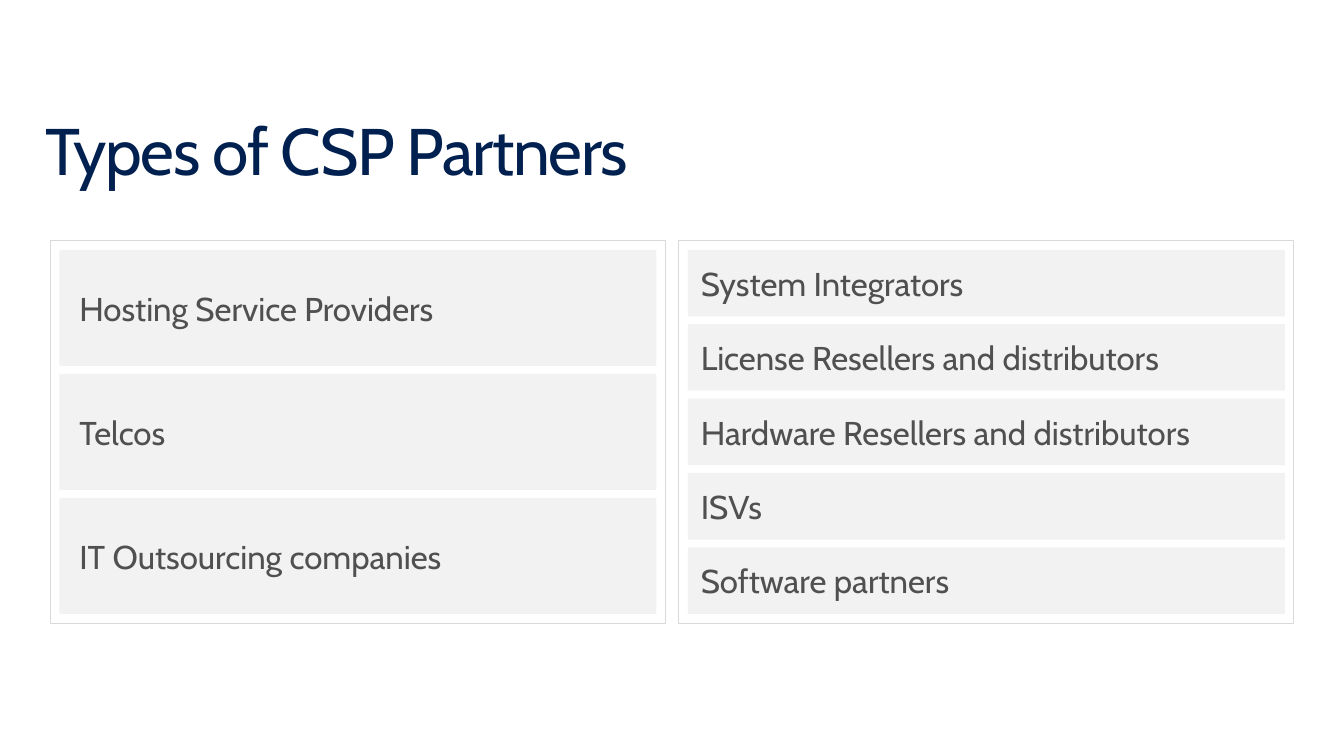
from pptx import Presentation
from pptx.dml.color import RGBColor
from pptx.enum.shapes import MSO_SHAPE as Shape
from pptx.enum.text import MSO_ANCHOR as Anchor, PP_ALIGN as Align
from pptx.util import Cm, Pt

NAVY = RGBColor(0x00, 0x20, 0x50)
GRAY = RGBColor(0x50, 0x50, 0x50)
PALE = RGBColor(0xF2, 0xF2, 0xF2)
EDGE = RGBColor(0xD9, 0xD9, 0xD9)

TOP, WIDE, HIGH = 6.17, 15.8, 9.86   # panels
SIDE, PAD, GAP = 0.23, 0.25, 0.2     # bars inside a panel


def write(frame, text, size=24, color=GRAY, anchor=Anchor.MIDDLE,
          inset=(0.33, 0.33), lead=1.0, track=0):
    """Put one formatted, left-aligned paragraph in a text frame."""
    frame.word_wrap = True
    frame.vertical_anchor = anchor
    frame.margin_left = frame.margin_right = Cm(inset[0])
    frame.margin_top = frame.margin_bottom = Cm(inset[1])
    para = frame.paragraphs[0]
    para.alignment = Align.LEFT
    para.line_spacing = lead
    run = para.add_run()
    run.text = text
    run.font.name = "Cabin"
    run.font.size = Pt(size)
    run.font.color.rgb = color
    if track:
        run.font._element.set("spc", str(track))


class Deck:
    def __init__(self, wide, high):
        self.prs = Presentation()
        self.prs.slide_width, self.prs.slide_height = Cm(wide), Cm(high)
        self.slide = self.prs.slides.add_slide(self.prs.slide_layouts[5])

    def title(self, text, x, y, w, h):
        box = self.slide.shapes.title
        box.left, box.top, box.width, box.height = Cm(x), Cm(y), Cm(w), Cm(h)
        write(box.text_frame, text, size=48, color=NAVY, anchor=Anchor.TOP,
              inset=(0.41, 0.25), lead=0.9, track=-100)

    def rect(self, x, y, w, h, fill=None, line=None):
        box = self.slide.shapes.add_shape(
            Shape.RECTANGLE, Cm(x), Cm(y), Cm(w), Cm(h))
        box.shadow.inherit = False
        if fill is None:
            box.fill.background()
        else:
            box.fill.solid()
            box.fill.fore_color.rgb = fill
        if line is None:
            box.line.fill.background()
        else:
            box.line.color.rgb = line
            box.line.width = Pt(0.75)
        return box

    def panel(self, x, names, inset):
        """Draw a frame filled with equal bars, one per name."""
        self.rect(x, TOP, WIDE, HIGH, line=EDGE)
        count = len(names)
        tall = (HIGH - 2 * PAD - (count - 1) * GAP) / count
        for i, name in enumerate(names):
            bar = self.rect(x + SIDE, TOP + PAD + i * (tall + GAP),
                            WIDE - 2 * SIDE, tall, fill=PALE)
            write(bar.text_frame, name, inset=(inset, inset))


def main():
    deck = Deck(34.54, 19.43)
    deck.title("Types of CSP Partners", 0.76, 2.79, 33.02, 2.29)

    # Left panel
    deck.panel(1.3, ["Hosting Service Providers", "Telcos",
                     "IT Outsourcing companies"], inset=0.51)

    # Right panel
    deck.panel(17.45, ["System Integrators",
                       "License Resellers and distributors",
                       "Hardware Resellers and distributors",
                       "ISVs", "Software partners"], inset=0.33)

    deck.prs.save("out.pptx")


if __name__ == "__main__":
    main()
